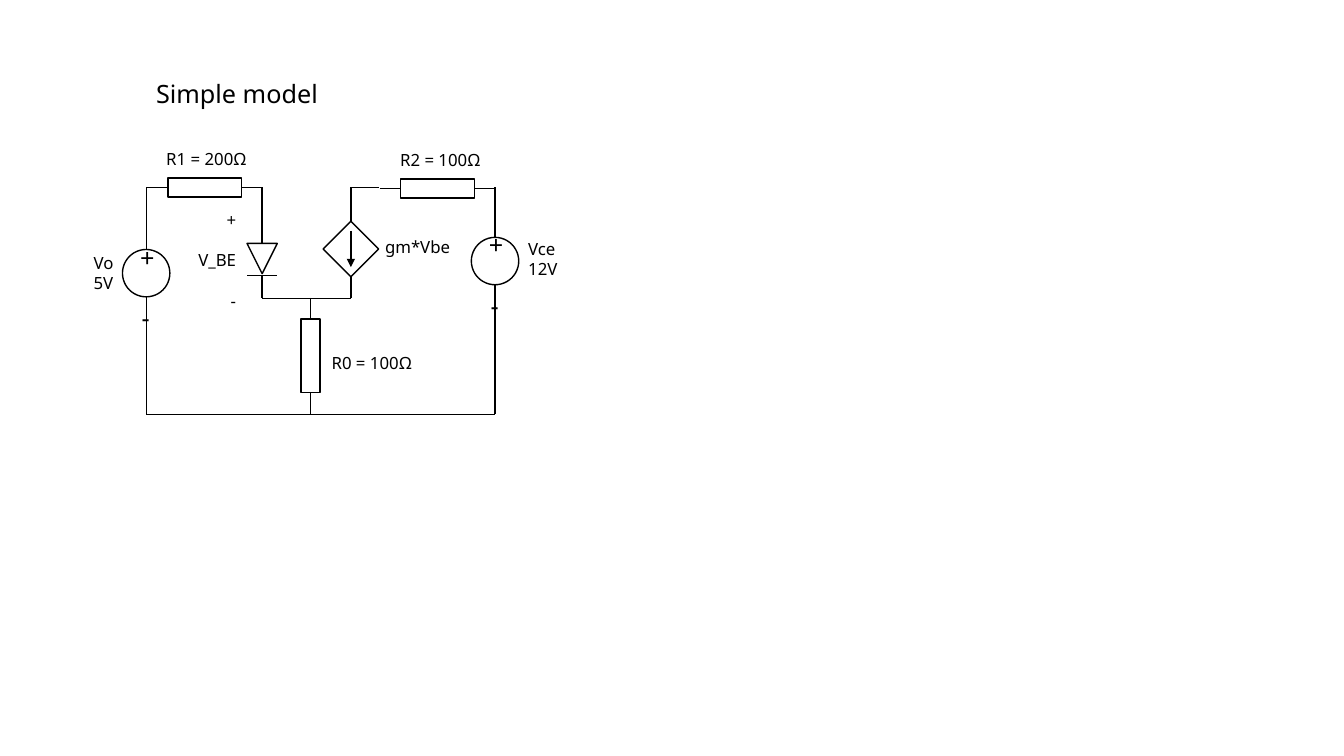
"""Draw the simple small-signal transistor model as a circuit diagram."""
from dataclasses import dataclass

from pptx import Presentation
from pptx.dml.color import RGBColor
from pptx.enum.shapes import MSO_CONNECTOR, MSO_SHAPE as Preset
from pptx.enum.text import MSO_ANCHOR, PP_ALIGN as Align
from pptx.oxml.ns import qn
from pptx.util import Inches, Pt
from lxml.etree import SubElement


@dataclass(frozen=True)
class Theme:
    font: str = "Noto Sans"
    ink: RGBColor = RGBColor(0, 0, 0)
    label: int = 12
    large: int = 18
    stroke: float = 1
    leading: float = 1.2


THEME = Theme()
SLIDE = (13.33, 7.5)

COLUMNS = {"vo": 1.45, "diode": 2.6, "ground": 3.08, "gm": 3.48, "vce": 4.91}
ROWS = {"top": 1.86, "junction": 2.96, "bottom": 4.11}
BODY_LONG, BODY_SHORT, LEAD = 0.73, 0.19, 0.21
CIRCLE, DIODE, DIAMOND = 0.47, 0.3, 0.39

RESISTORS = [
    ("R1 = 200Ω", 2.03, ROWS["top"], "across", (-0.48, -0.43)),
    ("R0 = 100Ω", COLUMNS["ground"], 3.53, "down", (0.11, -0.08)),
    ("R2 = 100Ω", 4.34, ROWS["top"] + 0.01, "across", (-0.47, -0.43)),
]
SOURCES = [
    ("Vo\n5V", COLUMNS["vo"], 2.71, (-0.62, -0.25)),
    ("Vce\n12V", COLUMNS["vce"], 2.59, (0.23, -0.27)),
]
TITLE = ("Simple model", (1.45, 0.73, 3.47, 0.4))
DRIVE = ("gm*Vbe", (3.72, 2.3, 0.88, 0.3))
JUNCTION_VOLTAGE = (["+", "V_BE", "-"], (1.82, 2.03, 0.62, 1.11))
WIRES = [
    (("vo", "top"), ("vo", 2.47)),
    (("vo", 2.94), ("vo", "bottom")),
    (("vo", "bottom"), ("vce", "bottom")),
    (("vce", 2.82), ("vce", "bottom")),
    (("vce", "top"), ("vce", 2.35)),
    (("diode", "top"), ("diode", 2.21)),
    (("diode", "junction"), ("gm", "junction")),
    (("gm", "top"), (3.76, "top")),
]


def inches(values):
    return [Inches(value) for value in values]


def draw_line(parts, start, end):
    line = parts.add_connector(MSO_CONNECTOR.STRAIGHT, *inches((*start, *end)))
    line.line.color.rgb = THEME.ink
    line.line.width = Pt(THEME.stroke)
    SubElement(line._element.spPr, qn("a:effectLst"))
    return line


def draw_outline(parts, preset, center, width, height, turn=0):
    x, y = center
    outline = parts.add_shape(preset, *inches((x - width / 2, y - height / 2, width, height)))
    outline.rotation = turn
    outline.shadow.inherit = False
    outline.fill.background()
    outline.line.color.rgb = THEME.ink
    outline.line.width = Pt(THEME.stroke)
    return outline


def write(parts, paragraphs, box, size=THEME.label, align=Align.LEFT):
    frame = parts.add_textbox(*inches(box)).text_frame
    right = 0 if align == Align.LEFT else 0.1
    layout = {"word_wrap": True, "vertical_anchor": MSO_ANCHOR.TOP, "margin_right": Inches(right)}
    for name, value in layout.items():
        setattr(frame, name, value)
    leading = Pt(size * THEME.leading)
    for index, words in enumerate(paragraphs):
        paragraph = frame.add_paragraph() if index else frame.paragraphs[0]
        paragraph.text = words
        spacing = {"alignment": align, "line_spacing": leading, "space_before": leading if index else 0}
        for name, value in spacing.items():
            setattr(paragraph, name, value)
        for run in paragraph.runs:
            run.font.name = THEME.font
            run.font.size = Pt(size)
            run.font.color.rgb = THEME.ink


def draw_resistor(shapes, label, x, y, direction, offset):
    parts = shapes.add_group_shape().shapes
    reach = BODY_LONG / 2 + LEAD
    if direction == "across":
        size, sides = (BODY_LONG, BODY_SHORT), (1, 3)
        ends = [(x - reach, y), (x + reach, y)]
    else:
        size, sides = (BODY_SHORT, BODY_LONG), (0, 2)
        ends = [(x, y - reach), (x, y + reach)]
    body = draw_outline(parts, Preset.RECTANGLE, (x, y), *size)
    for end, side in zip(ends, sides):
        draw_line(parts, end, (x, y)).end_connect(body, side)
    write(parts, [label], (x + offset[0], y + offset[1], 1.12, 0.3))


def draw_source(shapes, label, x, y, offset):
    parts = shapes.add_group_shape().shapes
    draw_outline(parts, Preset.FLOWCHART_CONNECTOR, (x, y), CIRCLE, CIRCLE)
    write(parts, ["+\n-"], (x - 0.16, y - 0.36, 0.31, 0.71), THEME.large, Align.CENTER)
    write(parts, [label], (x + offset[0], y + offset[1], 0.49, 0.5))


def draw_diode(shapes, x, top, bottom):
    parts = shapes.add_group_shape().shapes
    middle = (top + bottom) / 2 - 0.02
    bar = middle + DIODE / 2 + 0.02
    draw_outline(parts, Preset.ISOSCELES_TRIANGLE, (x, middle), DIODE, DIODE, 180)
    draw_line(parts, (x - DIODE / 2, bar), (x + DIODE / 2, bar))
    draw_line(parts, (x, bar), (x, bottom))
    draw_line(parts, (x, top), (x, middle - DIODE / 2))


def draw_controlled_source(shapes, x, top, bottom):
    parts = shapes.add_group_shape().shapes
    middle, reach = 2.47, DIAMOND / 2 ** 0.5
    draw_outline(parts, Preset.RECTANGLE, (x, middle), DIAMOND, DIAMOND, 45)
    arrow = draw_line(parts, (x, middle - 0.18), (x, middle + 0.18))
    SubElement(arrow.line._get_or_add_ln(), qn("a:tailEnd"), type="triangle")
    draw_line(parts, (x, top), (x, middle - reach))
    draw_line(parts, (x, middle + reach), (x, bottom))


def main():
    deck = Presentation()
    deck.slide_width, deck.slide_height = inches(SLIDE)
    shapes = deck.slides.add_slide(deck.slide_layouts[6]).shapes
    for resistor in RESISTORS:
        draw_resistor(shapes, *resistor)
    for source in SOURCES:
        draw_source(shapes, *source)
    draw_diode(shapes, COLUMNS["diode"], 2.21, ROWS["junction"])
    draw_controlled_source(shapes, COLUMNS["gm"], ROWS["top"], ROWS["junction"])
    for wire in WIRES:
        draw_line(shapes, *[(COLUMNS.get(x, x), ROWS.get(y, y)) for x, y in wire])
    title, title_box = TITLE
    write(shapes, [title], title_box, THEME.large)
    drive, drive_box = DRIVE
    write(shapes, [drive], drive_box)
    write(shapes, *JUNCTION_VOLTAGE, align=Align.RIGHT)
    deck.save("out.pptx")


if __name__ == "__main__":
    main()
